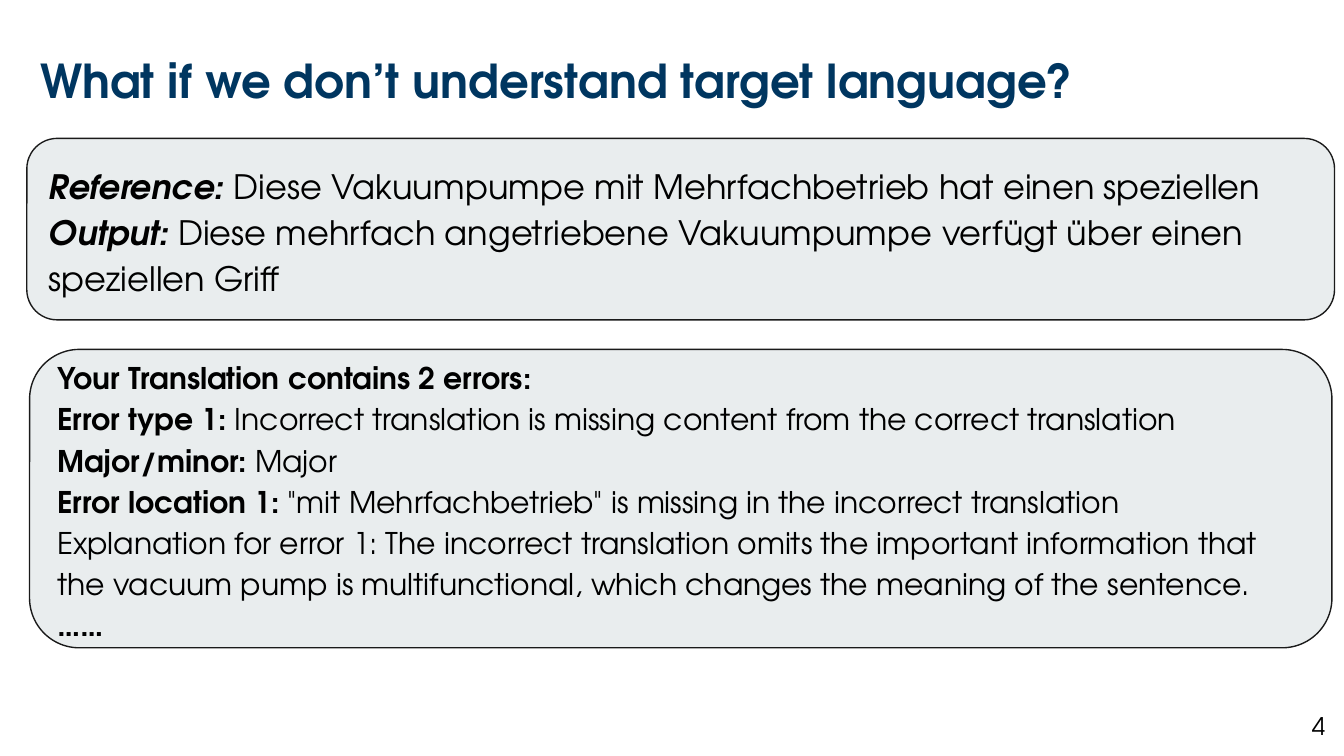
from dataclasses import dataclass

from pptx import Presentation
from pptx.dml.color import RGBColor
from pptx.enum.shapes import MSO_SHAPE as Shape
from pptx.enum.text import MSO_ANCHOR as Anchor, MSO_AUTO_SIZE as AutoSize, PP_ALIGN as Align
from pptx.slide import Slide
from pptx.util import Inches, Pt

COLORS = {"title": "003660", "text": "000000", "panel": "E9EDEE", "outline": "1A1A1A"}

EXAMPLE = [
    [("Reference: ", "bi"), ("Diese Vakuumpumpe mit Mehrfachbetrieb hat einen speziellen", "")],
    [("Output: ", "bi"),
     ("Diese mehrfach angetriebene Vakuumpumpe verfügt über einen speziellen Griff", "")],
]
FEEDBACK = [
    [("Your Translation contains 2 errors:", "b")],
    [("Error type 1: ", "b"),
     ("Incorrect translation is missing content from the correct translation", "")],
    [("Major/minor: ", "b"), ("Major", "")],
    [("Error location 1:", "b"),
     (' "mit Mehrfachbetrieb" is missing in the incorrect translation', "")],
    [("Explanation for error 1: The incorrect translation omits the important information that "
      "the vacuum pump is multifunctional, which changes the meaning of the sentence.", "")],
    [("……", "b")],
]


def write(frame, lines, size, font, color="text", align=Align.LEFT, spacing=1.0,
          anchor=Anchor.TOP, inset=0.1):
    frame.word_wrap = True
    frame.auto_size = AutoSize.NONE
    frame.vertical_anchor = anchor
    frame.margin_left = frame.margin_right = Inches(0.1)
    frame.margin_top = frame.margin_bottom = Inches(inset)
    for index, line in enumerate(lines):
        paragraph = frame.add_paragraph() if index else frame.paragraphs[0]
        paragraph.alignment = align
        paragraph.line_spacing = spacing
        for words, emphasis in line:
            run = paragraph.add_run()
            run.text = words
            run.font.name = font
            run.font.size = Pt(size)
            run.font.bold = "b" in emphasis
            run.font.italic = "i" in emphasis
            run.font.color.rgb = RGBColor.from_string(COLORS[color])


@dataclass
class Deck:
    """Draws styled elements on the current slide."""
    slide: Slide
    font: str = "TeX Gyre Adventor"

    def title(self, words, box):
        heading = self.slide.shapes.title
        heading.left, heading.top, heading.width, heading.height = map(Inches, box)
        write(heading.text_frame, [[(words, "b")]], 25, self.font, color="title",
              spacing=0.9, inset=0.05)

    def panel(self, lines, box, size):
        panel = self.slide.shapes.add_shape(Shape.ROUNDED_RECTANGLE, *map(Inches, box))
        panel.shadow.inherit = False
        panel.fill.solid()
        panel.fill.fore_color.rgb = RGBColor.from_string(COLORS["panel"])
        panel.line.color.rgb = RGBColor.from_string(COLORS["outline"])
        panel.line.width = Pt(0.75)
        write(panel.text_frame, lines, size, self.font, spacing=1.15, anchor=Anchor.MIDDLE)

    def page_number(self, number, box):
        label = self.slide.shapes.add_textbox(*map(Inches, box))
        write(label.text_frame, [[(str(number), "")]], 13, self.font, align=Align.RIGHT)


def main():
    presentation = Presentation()
    presentation.slide_width = Inches(10)
    presentation.slide_height = Inches(10 * 9 / 16)
    deck = Deck(presentation.slides.add_slide(presentation.slide_layouts[5]))
    deck.title("What if we don’t understand target language?", (0.2, 0.38, 9.73, 0.43))
    deck.panel(EXAMPLE, (0.2, 1.03, 9.73, 1.35), 18)
    deck.panel(FEEDBACK, (0.22, 2.6, 9.69, 2.22), 16)
    deck.page_number(4, (9.36, 5.19, 0.6, 0.43))
    presentation.save("out.pptx")


if __name__ == "__main__":
    main()
